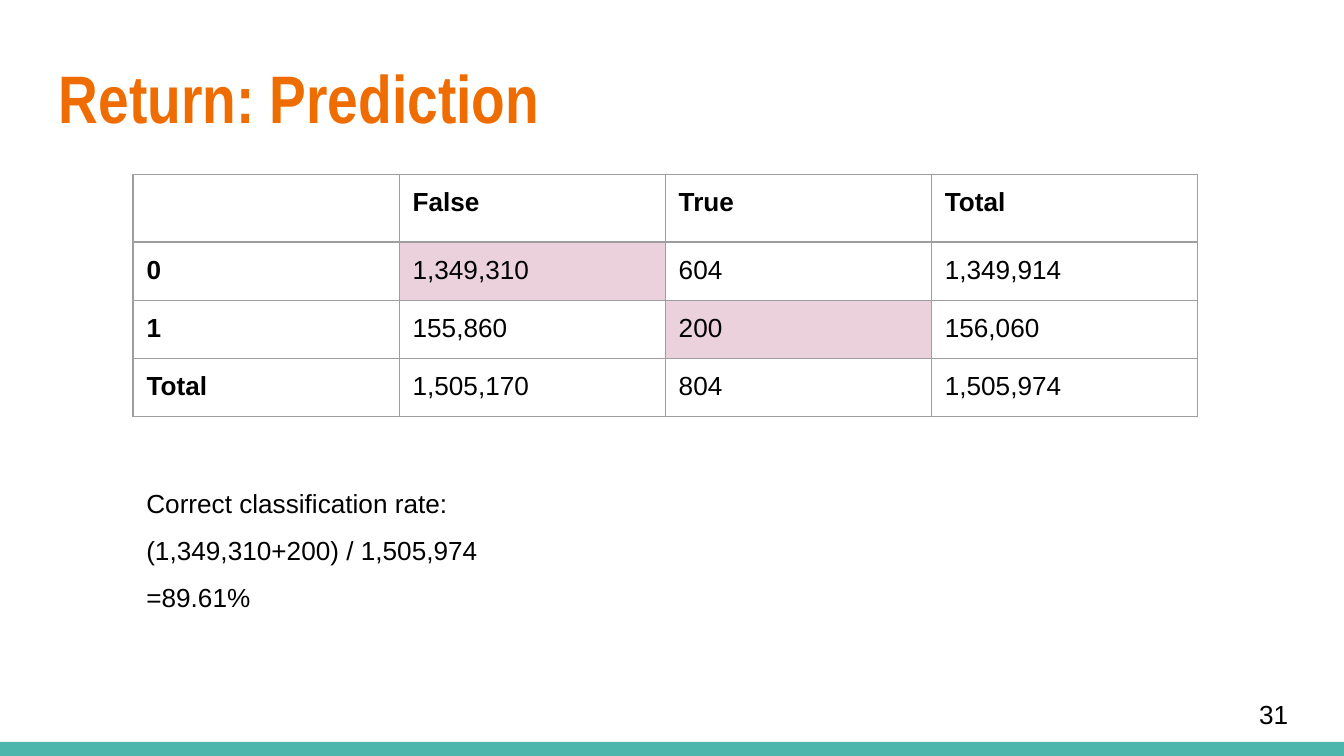
from lxml.etree import SubElement
from pptx import Presentation
from pptx.dml.color import RGBColor
from pptx.enum.shapes import MSO_SHAPE
from pptx.enum.text import MSO_ANCHOR
from pptx.oxml.ns import qn
from pptx.util import Inches, Pt

COLORS = {
    "title": "EF6C00",
    "text": "000000",
    "bar": "4DB6AC",
    "border": "9E9E9E",
    "correct": "EAD1DC",
}
INSET = Inches(0.1)
COLUMN_WIDTH = Inches(1.98)
ROW_HEIGHT = Inches(0.42)
ROWS = [
    ["", "False", "True", "Total"],
    ["0", "1,349,310", "604", "1,349,914"],
    ["1", "155,860", "200", "156,060"],
    ["Total", "1,505,170", "804", "1,505,974"],
]
CORRECT_CELLS = {(1, 1), (2, 2)}


def color(name):
    return RGBColor.from_string(COLORS[name])


def write_text(frame, text, size=14, font="Arial", ink="text", bold=False, spacing=None):
    """Fill a text frame, one paragraph for each line of text."""
    for index, line in enumerate(text.split("\n")):
        paragraph = frame.add_paragraph() if index else frame.paragraphs[0]
        paragraph.line_spacing = spacing
        run = paragraph.add_run()
        run.text = line
        run.font.size = Pt(size)
        run.font.name = font
        run.font.bold = bold
        run.font.color.rgb = color(ink)


def set_margins(target):
    target.margin_left = target.margin_right = INSET
    target.margin_top = target.margin_bottom = INSET


def add_text(slide, text, left, top, width, height, anchor=MSO_ANCHOR.TOP, **text_format):
    box = slide.shapes.add_textbox(Inches(left), Inches(top), Inches(width), Inches(height))
    frame = box.text_frame
    frame.word_wrap = True
    frame.vertical_anchor = anchor
    set_margins(frame)
    write_text(frame, text, **text_format)


def add_bar(slide):
    bar = slide.shapes.add_shape(
        MSO_SHAPE.RECTANGLE, 0, Inches(5.52), Inches(10), Inches(0.11))
    bar.shadow.inherit = False
    bar.fill.solid()
    bar.fill.fore_color.rgb = color("bar")
    bar.line.fill.background()


def style_cell(cell, fill=None):
    """Set margins, thin borders and an optional fill."""
    set_margins(cell)
    properties = cell._tc.get_or_add_tcPr()
    for side in ("a:lnL", "a:lnR", "a:lnT", "a:lnB"):
        line = SubElement(properties, qn(side), w=str(Pt(0.75)))
        solid = SubElement(line, qn("a:solidFill"))
        SubElement(solid, qn("a:srgbClr"), val=COLORS["border"])
    if fill:
        cell.fill.solid()
        cell.fill.fore_color.rgb = color(fill)
    else:
        cell.fill.background()


def add_confusion_table(slide):
    row_count, column_count = len(ROWS), len(ROWS[0])
    table = slide.shapes.add_table(
        row_count, column_count, Inches(0.99), Inches(1.3),
        COLUMN_WIDTH * column_count, ROW_HEIGHT * row_count).table
    table.first_row = table.horz_banding = False
    for row_index, values in enumerate(ROWS):
        for column_index, value in enumerate(values):
            cell = table.cell(row_index, column_index)
            is_correct = (row_index, column_index) in CORRECT_CELLS
            style_cell(cell, fill="correct" if is_correct else None)
            if value:
                is_heading = row_index == 0 or column_index == 0
                write_text(cell.text_frame, value, bold=is_heading)


def main():
    presentation = Presentation()
    presentation.slide_width = Inches(10)
    presentation.slide_height = presentation.slide_width * 9 // 16
    slide = presentation.slides.add_slide(presentation.slide_layouts[6])

    add_bar(slide)
    add_text(slide, "Return: Prediction", 0.34, 0.32, 9.32, 0.77,
             size=36, font="Arial Narrow", ink="title", bold=True)
    add_text(slide, "31", 9.27, 5.1, 0.6, 0.43, anchor=MSO_ANCHOR.MIDDLE)
    add_confusion_table(slide)
    add_text(slide, "Correct classification rate:\n(1,349,310+200) / 1,505,974\n=89.61%",
             0.99, 3.41, 3.08, 1.15, spacing=1.5)

    presentation.save("out.pptx")


if __name__ == "__main__":
    main()
